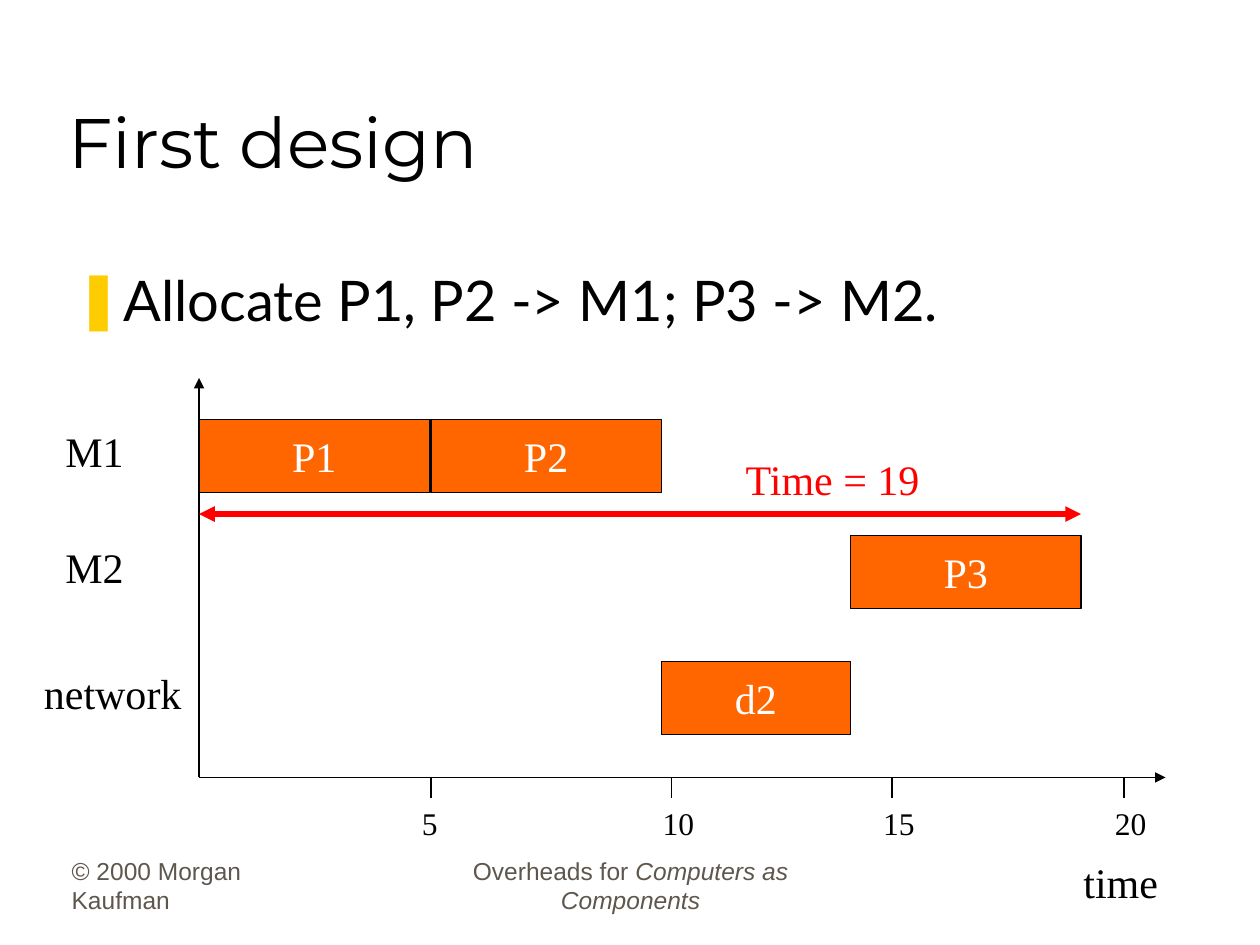
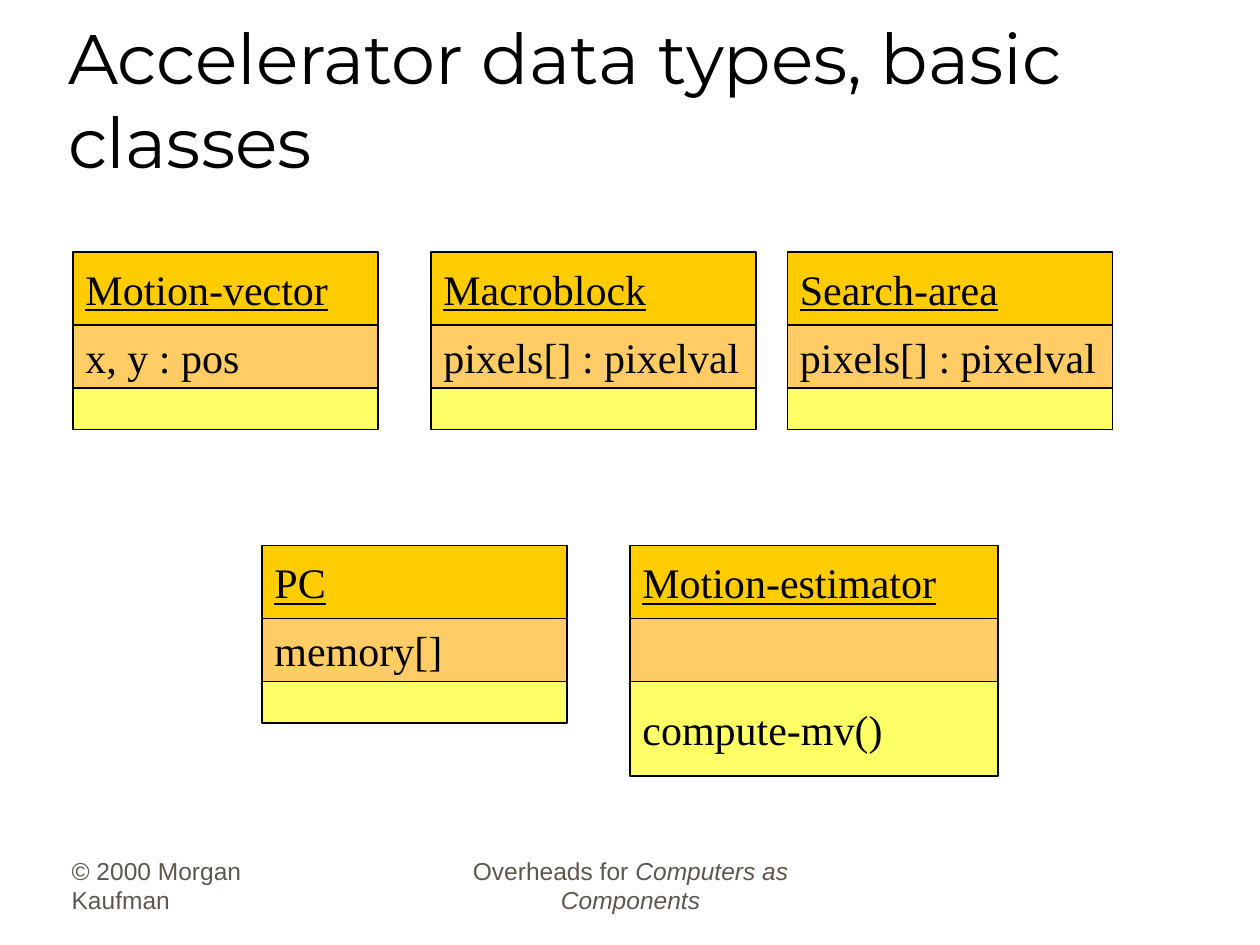
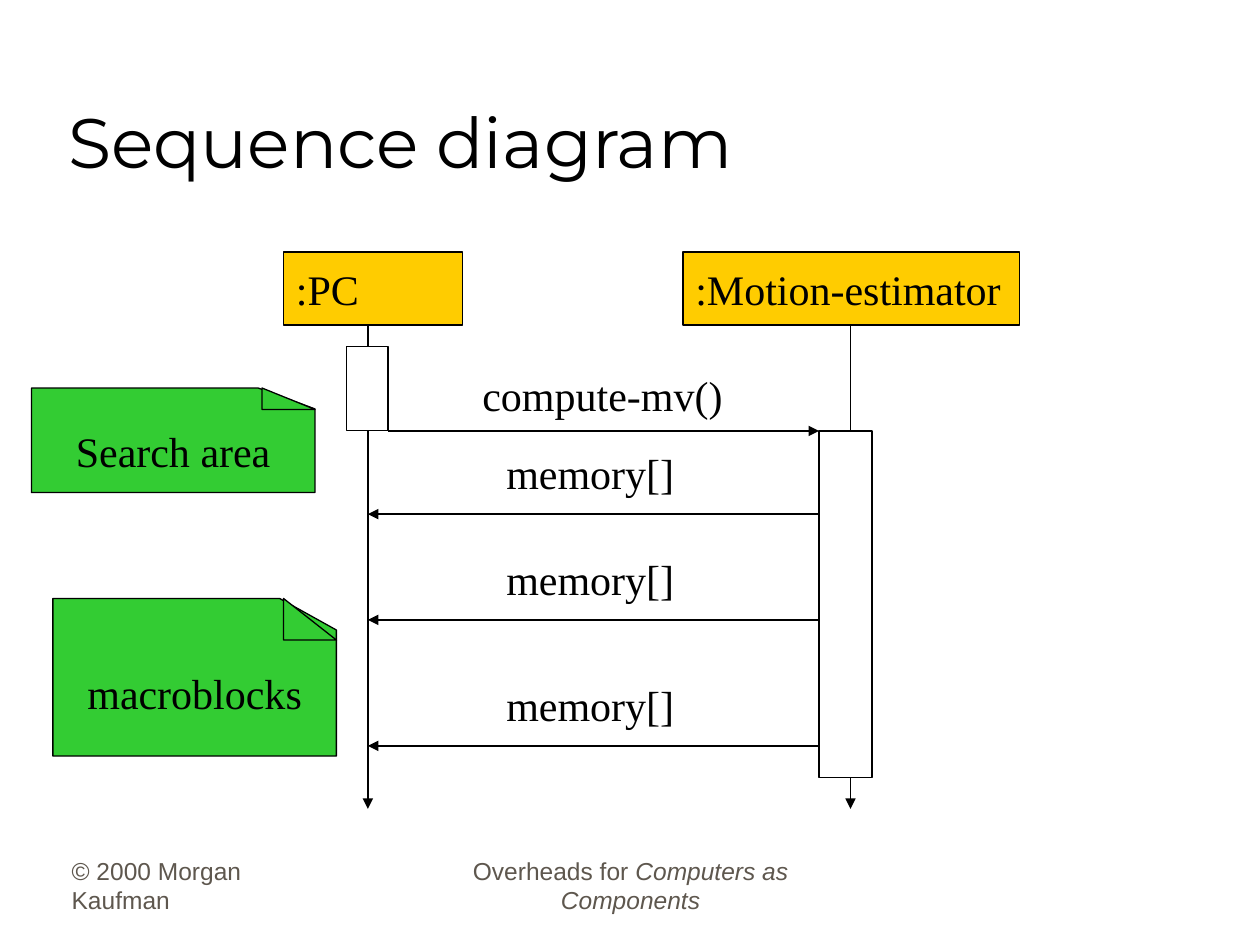
from pptx import Presentation
from pptx.dml.color import RGBColor
from pptx.enum.shapes import MSO_CONNECTOR, MSO_SHAPE
from pptx.enum.text import MSO_ANCHOR, MSO_AUTO_SIZE, PP_ALIGN
from pptx.oxml.ns import qn
from pptx.util import Inches, Pt
from lxml.etree import SubElement

BLACK, WHITE, RED = "000000", "FFFFFF", "FF0000"
GOLD, PEACH, YELLOW = "FFCC00", "FFCC66", "FFFF66"
ORANGE, GREEN, GREY = "FF6600", "33CC33", "5E574E"
TITLE_AND_CONTENT, TITLE_ONLY = 1, 5


def color(hex_string):
    return RGBColor.from_string(hex_string)


def write_text(frame, *runs, size=24, font="Times New Roman", ink=BLACK,
               align=PP_ALIGN.LEFT, anchor=MSO_ANCHOR.TOP, wrap=False,
               underline=False, last_italic=False, auto_size=MSO_AUTO_SIZE.NONE):
    frame.word_wrap = wrap
    frame.auto_size = auto_size
    frame.vertical_anchor = anchor
    paragraph = frame.paragraphs[0]
    paragraph.alignment = align
    paragraph.space_before = Pt(0)
    for text in runs:
        run = paragraph.add_run()
        run.text = text
        run.font.size = Pt(size)
        run.font.name = font
        run.font.color.rgb = color(ink)
        if underline:
            run.font.underline = True
    if last_italic:
        run.font.italic = True


def place(shape, left, top, width, height):
    shape.left, shape.top = Inches(left), Inches(top)
    shape.width, shape.height = Inches(width), Inches(height)


class Deck:
    """Holds the presentation, its style and the slide being built."""

    def __init__(self):
        self.presentation = Presentation()
        self.presentation.slide_width = Inches(10)
        self.presentation.slide_height = Inches(7.5)
        self.slide = None

    def new_slide(self, title, layout=TITLE_ONLY):
        layouts = self.presentation.slide_layouts
        self.slide = self.presentation.slides.add_slide(layouts[layout])
        shape = self.slide.shapes.title
        place(shape, 0.44, 0.25, 8.5, 1.25)
        write_text(shape.text_frame, title, size=40, font="Montserrat",
                   anchor=MSO_ANCHOR.BOTTOM, wrap=True)
        footer = dict(size=14, font="Arial", ink=GREY, wrap=True,
                      anchor=MSO_ANCHOR.BOTTOM, auto_size=MSO_AUTO_SIZE.NONE)
        self.label(0.47, 6.81, 2.08, "© 2000 Morgan Kaufman", **footer)
        self.label(3.42, 6.81, 3.17, "Overheads for ", "Computers as Components",
                   align=PP_ALIGN.CENTER, last_italic=True, **footer)

    def bullet(self, text):
        body = self.slide.placeholders[1]
        place(body, 0.5, 2.06, 8.94, 0.69)
        properties = body.text_frame.paragraphs[0]._p.get_or_add_pPr()
        properties.set("marL", str(Inches(0.38)))
        properties.set("indent", str(Inches(-0.38)))
        bullet_color = SubElement(properties, qn("a:buClr"))
        SubElement(bullet_color, qn("a:srgbClr"), val=GOLD)
        SubElement(properties, qn("a:buChar"), char="❚")
        write_text(body.text_frame, text, size=32, font="Lato", wrap=True)

    def label(self, left, top, width, *runs, height=0.5, **text_format):
        box = self.slide.shapes.add_textbox(
            Inches(left), Inches(top), Inches(width), Inches(height))
        text_format.setdefault("auto_size", MSO_AUTO_SIZE.SHAPE_TO_FIT_TEXT)
        write_text(box.text_frame, *runs, **text_format)

    def box(self, left, top, width, height, fill, text="",
            kind=MSO_SHAPE.RECTANGLE, **text_format):
        shape = self.slide.shapes.add_shape(
            kind, Inches(left), Inches(top), Inches(width), Inches(height))
        shape.shadow.inherit = False
        shape.fill.solid()
        shape.fill.fore_color.rgb = color(fill)
        shape.line.color.rgb = color(BLACK)
        shape.line.width = Pt(0.75)
        if text:
            write_text(shape.text_frame, text, anchor=MSO_ANCHOR.MIDDLE, **text_format)
        return shape

    def line(self, start, end, stroke=BLACK, width=0.75, arrows=("tailEnd",)):
        connector = self.slide.shapes.add_connector(
            MSO_CONNECTOR.STRAIGHT, *map(Inches, start + end))
        connector.line.color.rgb = color(stroke)
        connector.line.width = Pt(width)
        properties = connector.element.spPr
        for arrow in arrows:
            SubElement(properties.find(qn("a:ln")), qn("a:" + arrow), type="triangle")
        SubElement(properties, qn("a:effectLst"))

    def class_box(self, left, top, width, name, attribute="", operation="",
                  operation_height=0.33):
        self.box(left, top, width, 0.58, GOLD, name, underline=True)
        self.box(left, top + 0.58, width, 0.5, PEACH, attribute)
        self.box(left, top + 1.08, width, operation_height, YELLOW, operation)

    def note(self, left, top, height, fold_height, text):
        card = self.box(left, top, 2.25, height, GREEN, text, align=PP_ALIGN.CENTER,
                        kind=MSO_SHAPE.FLOWCHART_CARD)
        card.element.spPr.find(qn("a:xfrm")).set("flipH", "1")
        self.box(left + 1.83, top, 0.42, fold_height, GREEN,
                 kind=MSO_SHAPE.RIGHT_TRIANGLE)


def build_schedule(deck):
    deck.new_slide("First design", TITLE_AND_CONTENT)
    deck.bullet("Allocate P1, P2 -> M1; P3 -> M2.")
    origin_x, axis_y = 1.58, 6.17
    deck.line((origin_x, axis_y), (9.25, axis_y))
    deck.line((origin_x, axis_y), (origin_x, 3))
    deck.label(8.5, 6.75, 0.79, "time")

    rows = {"M1": 3.33, "M2": 4.25, "network": 5.25}
    for name, left, width in (("M1", 0.42, 0.66), ("M2", 0.42, 0.66),
                              ("network", 0.25, 1.29)):
        deck.label(left, rows[name], width, name)
    for text, x, width in (("5", 3.42, 0.32), ("10", 5.33, 0.45),
                           ("15", 7.08, 0.45), ("20", 8.92, 0.45)):
        deck.line((x, axis_y), (x, 6.33), arrows=())
        deck.label(x - 0.17, 6.33, width, text, height=0.4, size=18)
    for task, row, left, width in (("P1", "M1", origin_x, 1.83), ("P2", "M1", 3.42, 1.83),
                                   ("d2", "network", 5.25, 1.5), ("P3", "M2", 6.75, 1.83)):
        deck.box(left, rows[row], width, 0.58, ORANGE, task,
                 ink=WHITE, align=PP_ALIGN.CENTER)
    deck.line((origin_x, 4.08), (8.58, 4.08), RED, 3, ("headEnd", "tailEnd"))
    deck.label(5.82, 3.55, 1.59, "Time = 19", ink=RED)


def build_classes(deck):
    deck.new_slide("Accelerator data types, basic classes")
    deck.class_box(0.58, 2, 2.42, "Motion-vector", "x, y : pos")
    deck.class_box(3.42, 2, 2.58, "Macroblock", "pixels[] : pixelval")
    deck.class_box(6.25, 2, 2.58, "Search-area", "pixels[] : pixelval")
    deck.class_box(2.08, 4.33, 2.42, "PC", "memory[]")
    deck.class_box(5, 4.33, 2.92, "Motion-estimator", operation="compute-mv()",
                   operation_height=0.75)


def build_sequence(deck):
    deck.new_slide("Sequence diagram")
    pc_x, estimator_x, activation_x = 2.92, 6.75, 6.5
    deck.box(2.25, 2, 1.42, 0.58, GOLD, ":PC")
    deck.box(5.42, 2, 2.67, 0.58, GOLD, ":Motion-estimator")
    for x in (pc_x, estimator_x):
        deck.line((x, 2.58), (x, 6.42))
    deck.box(2.75, 2.75, 0.33, 0.67, WHITE)
    deck.box(activation_x, 3.42, 0.42, 2.75, WHITE)
    deck.line((3.08, 3.42), (activation_x, 3.42))
    deck.label(3.73, 2.88, 2.15, "compute-mv()")
    for y in (4.08, 4.92, 5.92):
        deck.line((activation_x, y), (pc_x, y))
        deck.label(3.92, y - 0.58, 1.53, "memory[]")
    deck.note(0.25, 3.08, 0.83, 0.17, "Search area")
    deck.note(0.42, 4.75, 1.25, 0.33, "macroblocks")


def main():
    deck = Deck()
    for build in (build_schedule, build_classes, build_sequence):
        build(deck)
    deck.presentation.save("out.pptx")


if __name__ == "__main__":
    main()
